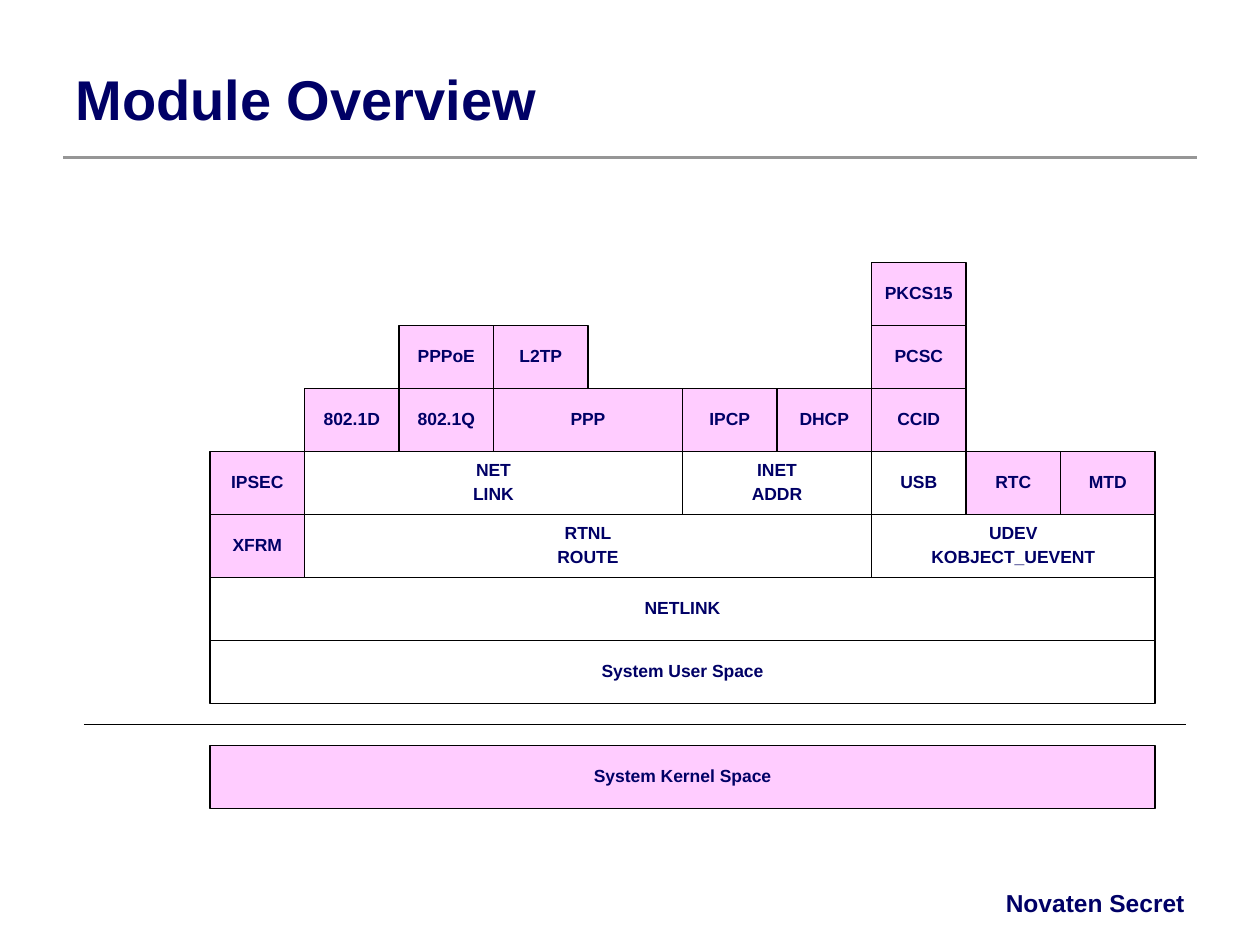
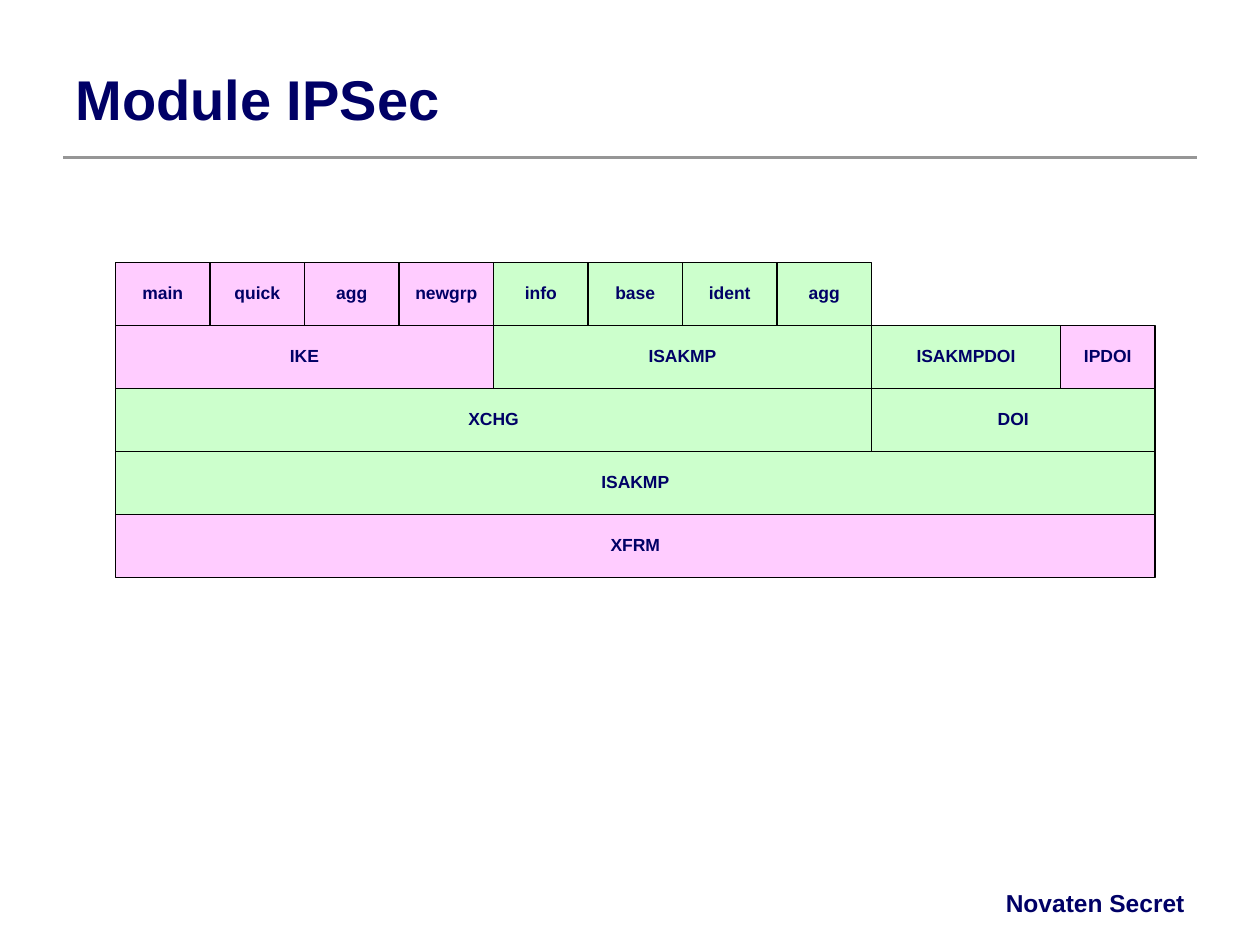
from pptx import Presentation
from pptx.dml.color import RGBColor
from pptx.enum.shapes import MSO_CONNECTOR, MSO_SHAPE
from pptx.enum.text import MSO_ANCHOR as Anchor, PP_ALIGN as Align
from pptx.oxml.ns import qn
from pptx.util import Pt
from lxml import etree

# Content: each row lists (first column, [(label, columns wide, fill), ...]) runs
FOOTER = "Novaten Secret"
SLIDES = [
    {
        "title": "Module Overview",
        "rows": [
            [(8, [("PKCS15", 1, "pink")])],
            [(3, [("PPPoE", 1, "pink"), ("L2TP", 1, "pink")]),
             (8, [("PCSC", 1, "pink")])],
            [(2, [("802.1D", 1, "pink"), ("802.1Q", 1, "pink"), ("PPP", 2, "pink"),
                  ("IPCP", 1, "pink"), ("DHCP", 1, "pink"), ("CCID", 1, "pink")])],
            [(1, [("IPSEC", 1, "pink"), ("NET\nLINK", 4, "white"),
                  ("INET\nADDR", 2, "white"), ("USB", 1, "white"),
                  ("RTC", 1, "pink"), ("MTD", 1, "pink")])],
            [(1, [("XFRM", 1, "pink"), ("RTNL\nROUTE", 6, "white"),
                  ("UDEV\nKOBJECT_UEVENT", 3, "white")])],
            [(1, [("NETLINK", 10, "white")])],
            [(1, [("System User Space", 10, "white")])],
        ],
        "below_divider": [(1, [("System Kernel Space", 10, "pink")])],
    },
    {
        "title": "Module IPSec",
        "rows": [
            [(0, [("main", 1, "pink"), ("quick", 1, "pink"), ("agg", 1, "pink"),
                  ("newgrp", 1, "pink"), ("info", 1, "green"), ("base", 1, "green"),
                  ("ident", 1, "green"), ("agg", 1, "green")])],
            [(0, [("IKE", 4, "pink"), ("ISAKMP", 4, "green"),
                  ("ISAKMPDOI", 2, "green"), ("IPDOI", 1, "pink")])],
            [(0, [("XCHG", 8, "green"), ("DOI", 3, "green")])],
            [(0, [("ISAKMP", 11, "green")])],
            [(0, [("XFRM", 11, "pink")])],
        ],
    },
]

# Style and grid, in points
COLORS = {"navy": "000066", "gray": "969696", "black": "000000",
          "white": "FFFFFF", "pink": "FFCCFF", "green": "CCFFCC"}
FONT = "Arial"
GRID_LEFT, GRID_TOP = 66, 150
COLUMN, ROW = 54, 36
DIVIDER_GAP = 12


def color(name):
    return RGBColor.from_string(COLORS[name])


def style(para, size, align):
    para.alignment = align
    font = para.font
    font.name, font.size, font.bold = FONT, Pt(size), True
    font.color.rgb = color("navy")


def add_rule(page, left, right, y, width, name):
    rule = page.shapes.add_connector(
        MSO_CONNECTOR.STRAIGHT, Pt(left), Pt(y), Pt(right), Pt(y))
    rule.line.width = Pt(width)
    rule.line.color.rgb = color(name)
    etree.SubElement(rule._element.spPr, qn("a:effectLst"))


def add_module(page, label, left, top, width, fill):
    box = page.shapes.add_shape(
        MSO_SHAPE.RECTANGLE, Pt(left), Pt(top), Pt(width), Pt(ROW))
    box.shadow.inherit = False
    box.fill.solid()
    box.fill.fore_color.rgb = color(fill)
    box.line.color.rgb = color("black")
    box.line.width = Pt(0.75)
    frame = box.text_frame
    frame.vertical_anchor = Anchor.MIDDLE
    frame.text = label
    for para in frame.paragraphs:
        style(para, 10, Align.CENTER)
        para.line_spacing = 0.9
        para.space_before = Pt(2.5)


def add_row(page, row, top):
    for column, modules in row:
        for label, span, fill in modules:
            add_module(page, label, GRID_LEFT + column * COLUMN, top,
                       span * COLUMN, fill)
            column += span


def add_page(deck, title):
    page = deck.slides.add_slide(deck.slide_layouts[5])
    add_rule(page, 36, 684, 90, 2.25, "gray")

    # Title
    box = page.shapes.title
    box.left, box.top, box.width, box.height = Pt(36), Pt(21.6), Pt(648), Pt(68.4)
    box.text_frame.text = title
    box.text_frame.vertical_anchor = Anchor.MIDDLE
    style(box.text_frame.paragraphs[0], 32, Align.LEFT)

    # Footer
    footer = page.shapes.add_textbox(Pt(456), Pt(504), Pt(228), Pt(24)).text_frame
    footer.word_wrap = True
    footer.text = FOOTER
    style(footer.paragraphs[0], 14, Align.RIGHT)
    return page


def main():
    deck = Presentation()
    deck.slide_width, deck.slide_height = Pt(720), Pt(540)
    for content in SLIDES:
        page = add_page(deck, content["title"])
        for index, row in enumerate(content["rows"]):
            add_row(page, row, GRID_TOP + index * ROW)

        # Kernel layer under the dividing line
        if "below_divider" in content:
            divider = GRID_TOP + len(content["rows"]) * ROW + DIVIDER_GAP
            add_rule(page, 48, 678, divider, 0.75, "black")
            add_row(page, content["below_divider"], divider + DIVIDER_GAP)
    deck.save("out.pptx")


if __name__ == "__main__":
    main()
